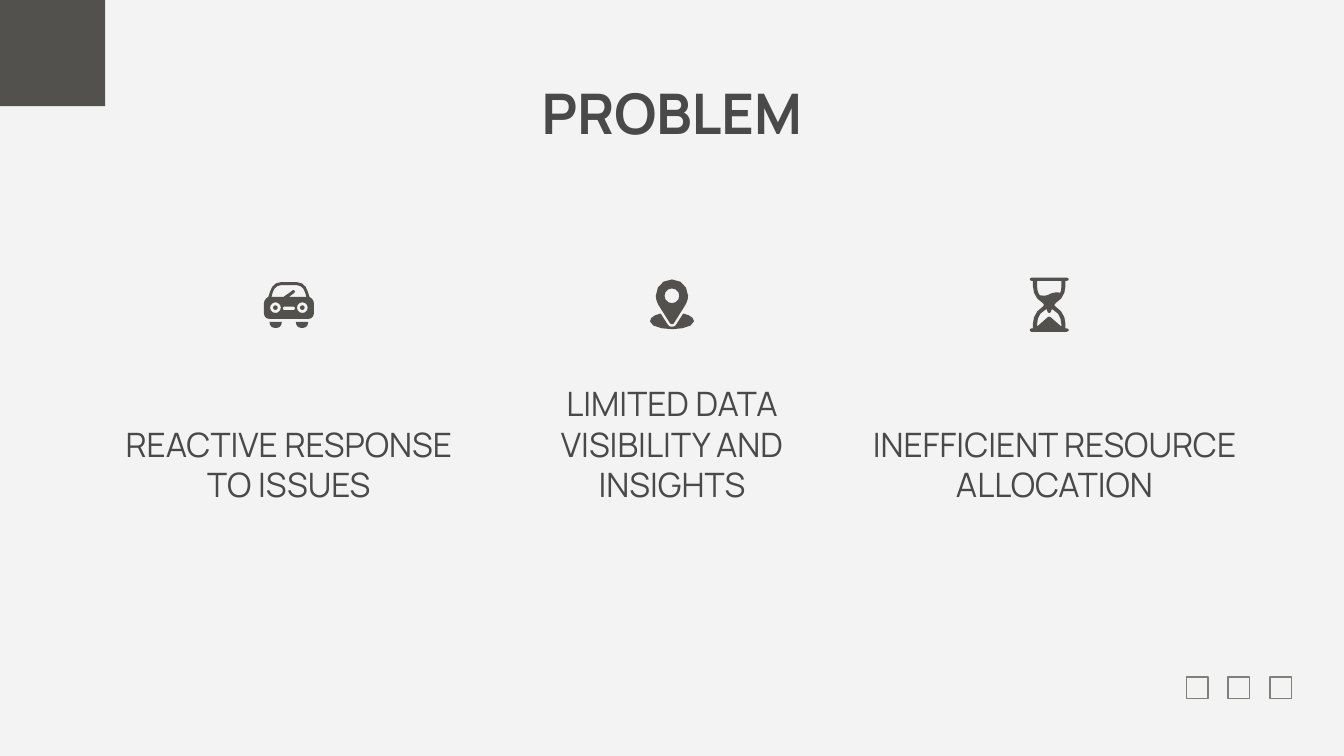
"""Builds the PROBLEM slide: three icons with captions under a title."""
import math

from pptx import Presentation, util as u
from pptx.dml.color import RGBColor
from pptx.enum import shapes, text

PAPER = RGBColor(0xF3, 0xF3, 0xF3)
DARK = RGBColor(0x52, 0x51, 0x4D)
OUTLINE = RGBColor(0x80, 0x7F, 0x7A)
INK = RGBColor(0x49, 0x49, 0x49)
ICON_UNIT = 0.0254
CURVE_STEPS = 3
CIRCLE_STEPS = 12


def trace(*segments):
    points = [segments[0]]
    for segment in segments[1:]:
        if len(segment) == 2:
            points.append(segment)
            continue
        knots = [points[-1], segment[:2], segment[2:4], segment[4:]]
        for step in range(1, CURVE_STEPS + 1):
            t = step / CURVE_STEPS
            weights = ((1 - t) ** 3, 3 * t * (1 - t) ** 2, 3 * t * t * (1 - t), t ** 3)
            points.append(tuple(sum(w * k[axis] for w, k in zip(weights, knots))
                                for axis in (0, 1)))
    return points


def mirror(points):
    return [(-x, y) for x, y in points]


def symmetric(*segments):
    half = [point for point in trace(*segments)]
    return half + [(x, y) for x, y in mirror(half)[::-1] if x]


def circle(x, y, radius):
    turns = [2 * math.pi * i / CIRCLE_STEPS for i in range(CIRCLE_STEPS)]
    return [(x + radius * math.cos(turn), y + radius * math.sin(turn)) for turn in turns]


class Deck:
    def __init__(self, width, height, font):
        self.prs = Presentation()
        self.prs.slide_width, self.prs.slide_height = u.Cm(width), u.Cm(height)
        self.font = font
        self.slide = self.prs.slides.add_slide(self.prs.slide_layouts[6])
        self.slide.background.fill.solid()
        self.slide.background.fill.fore_color.rgb = PAPER

    def paint(self, shape, fill=None, line=None):
        shape.shadow.inherit = False
        if fill is None:
            shape.fill.background()
        else:
            shape.fill.solid()
            shape.fill.fore_color.rgb = fill
        if line is None:
            shape.line.fill.background()
        else:
            shape.line.color.rgb = line
            shape.line.width = u.Pt(0.75)

    def square(self, left, top, width, height, **colours):
        box = self.slide.shapes.add_shape(shapes.MSO_SHAPE.RECTANGLE,
                                          *map(u.Cm, (left, top, width, height)))
        self.paint(box, **colours)

    def label(self, wording, left, top, width, height, size,
              anchor=text.MSO_ANCHOR.TOP, bold=False):
        frame = self.slide.shapes.add_textbox(
            *map(u.Cm, (left, top, width, height))).text_frame
        frame.word_wrap = True
        frame.vertical_anchor = anchor
        frame.margin_left = frame.margin_right = u.Cm(0.25)
        frame.margin_top = frame.margin_bottom = u.Cm(0.25)
        frame.text = wording
        paragraph = frame.paragraphs[0]
        paragraph.alignment = text.PP_ALIGN.CENTER
        font = paragraph.runs[0].font
        font.name, font.size, font.bold = self.font, u.Pt(size), bold
        font.color.rgb = INK

    def icon(self, centre, *outlines):
        placed = [[(u.Cm(centre + x * ICON_UNIT), u.Cm(y * ICON_UNIT)) for x, y in outline]
                  for outline in outlines]
        builder = self.slide.shapes.build_freeform(*placed[0][0])
        for index, outline in enumerate(placed):
            if index:
                builder.move_to(*outline[0])
            builder.add_line_segments(outline[1:], close=True)
        self.paint(builder.convert_to_shape(), fill=DARK)


def main():
    deck = Deck(25.4, 14.29, "Manrope")
    deck.square(0, 0, 1.99, 2.01, fill=DARK)
    for i in range(3):
        deck.square(22.42 + 0.79 * i, 12.8, 0.41, 0.41, line=OUTLINE)

    for caption, left, width in (("REACTIVE RESPONSE TO ISSUES", 1.98, 6.96),
                                 ("LIMITED DATA VISIBILITY AND INSIGHTS", 9.22, 6.96),
                                 ("INEFFICIENT RESOURCE ALLOCATION", 16.16, 7.54)):
        deck.label(caption, left, 7.72, width, 2.06, 18, text.MSO_ANCHOR.BOTTOM)
    deck.label("PROBLEM", 2, 1.24, 21.4, 1.6, 30, bold=True)

    pin = symmetric((0, 208), (7, 208, 12, 213.5, 12, 220.2), (12, 223, 11, 225, 10, 227),
                    (1.5, 240.5), (1.1, 241.1, 0.5, 241.3, 0, 241.3))
    ground = symmetric((0, 243.2), (1.2, 243.2, 2.3, 242.8, 3, 241.8), (8.4, 233.3),
                       (13, 234.3, 16.4, 236.3, 16.4, 239.1), (16.4, 242.7, 8, 245, 0, 245))
    deck.icon(12.7, circle(0, 220.2, 5.5), pin)
    deck.icon(12.7, ground)

    car = 5.46
    car_body = symmetric((0, 210), (6, 210), (10, 210, 13, 213, 14, 217), (15.3, 221),
                         (17.5, 222, 18.6, 224, 18.6, 226), (18.6, 233),
                         (18.6, 235.5, 17, 237.4, 14.5, 237.4))
    windscreen = trace((6, 212.3), (9, 212.3, 11, 214.5, 12, 217.5), (13, 221), (0, 221),
                       (4, 218), (5.2, 217, 4, 215.5, 3, 216), (-4, 221), (-13, 221),
                       (-12, 217.5), (-11, 214.5, -9, 212.3, -6, 212.3))
    grille = symmetric((3.5, 228.2), (5, 228.2, 5, 230.8, 3.5, 230.8))
    wheel = trace((5.2, 239.6), (14.4, 239.6), (14.4, 242, 13, 244, 10.8, 244),
                  (8.8, 244), (6.6, 244, 5.2, 242, 5.2, 239.6))
    lamp_rims = [circle(x, 229, 4) for x in (-10, 10)]
    for x in (10, -10):
        deck.icon(car, circle(x, 229, 1.7))
    deck.icon(car, car_body, windscreen, grille, *lamp_rims)
    for side in (mirror(wheel), wheel):
        deck.icon(car, side)

    glass = symmetric((13.2, 206.7), (15, 206.7, 15, 209, 13.2, 209), (12.1, 209),
                      (12.1, 213), (12.1, 218, 9.5, 223, 5, 225.4),
                      (3.6, 226.2, 3.6, 227.8, 5, 228.4), (9.5, 231, 12.1, 236, 12.1, 241),
                      (12.1, 244.4), (13.2, 244.4), (15, 244.4, 15, 246.9, 13.2, 246.9))
    upper_bulb = trace((-9, 209), (9, 209), (9, 213), (9, 215, 9, 216.5, 8.2, 217.8),
                       (5, 217.6), (3, 217.8, 1, 218.4, -0.5, 219.3),
                       (-2, 220, -3.5, 220.3, -7, 219.8), (-8.3, 218, -9, 216, -9, 213))
    lower_bulb = symmetric((0, 233), (1, 232.5), (2, 230), (3.5, 231),
                           (7, 232.5, 9, 237, 9, 241), (9, 243), (1, 236), (0, 235.7))
    deck.icon(19.83, glass, upper_bulb, lower_bulb)
    deck.prs.save("out.pptx")


if __name__ == "__main__":
    main()
